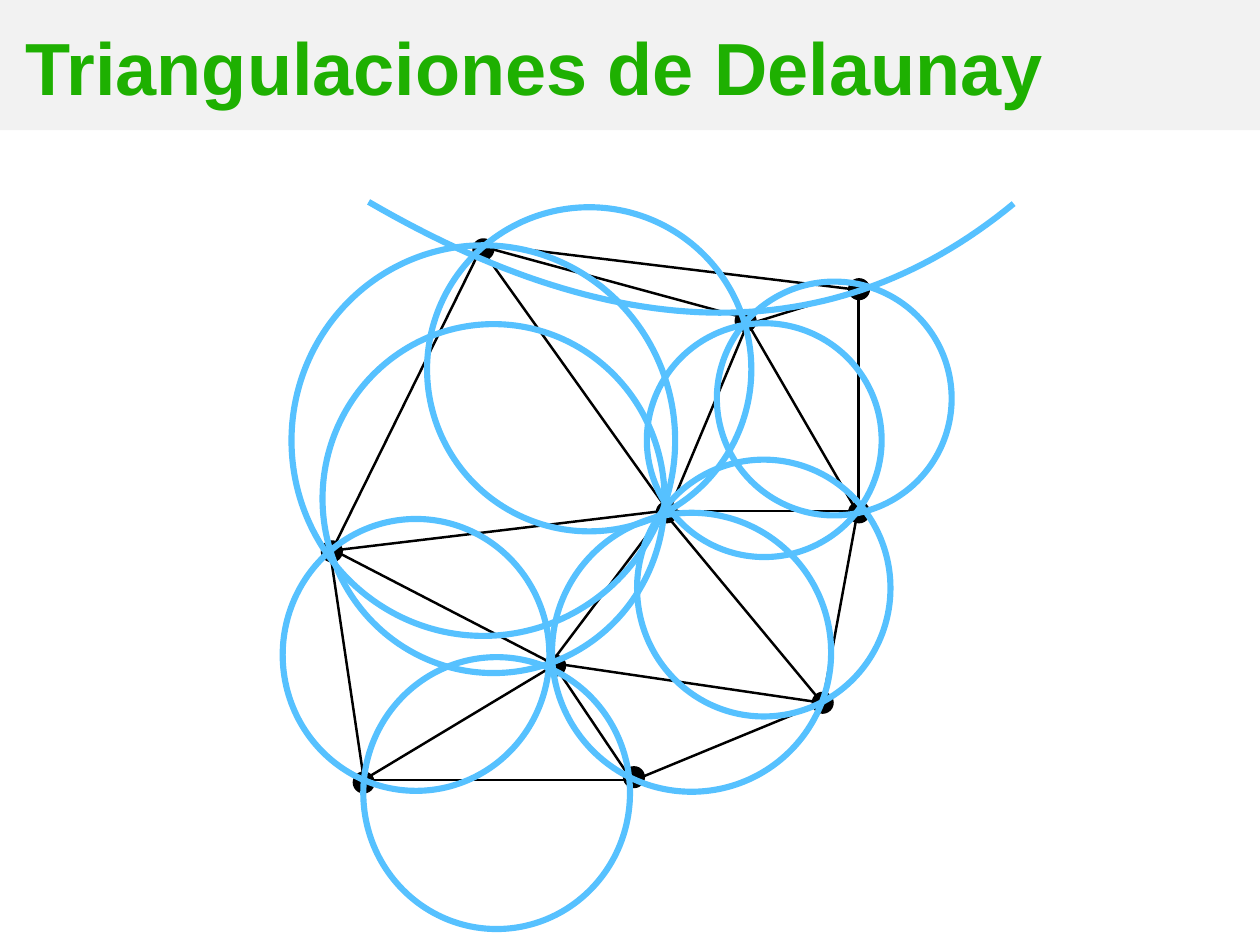
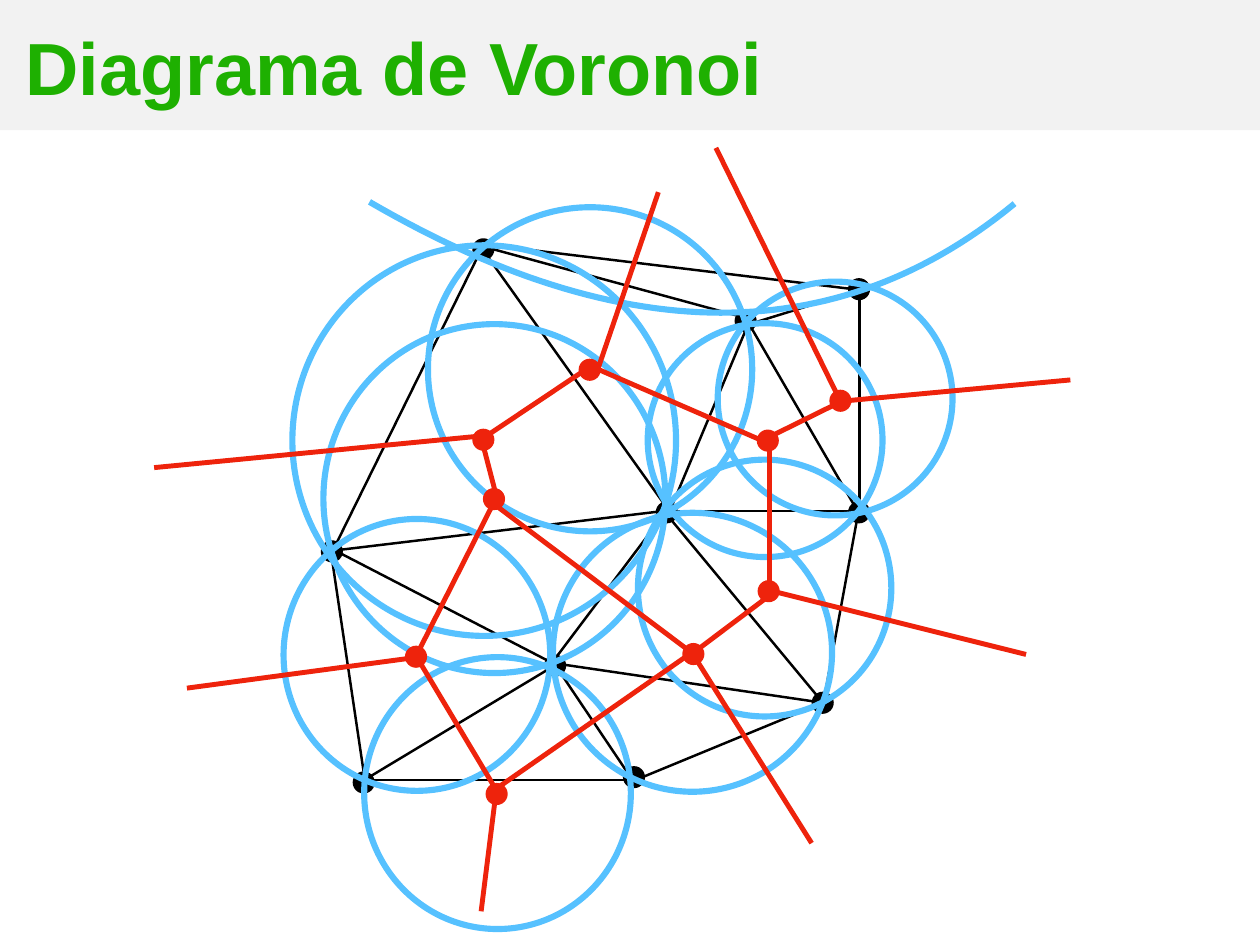
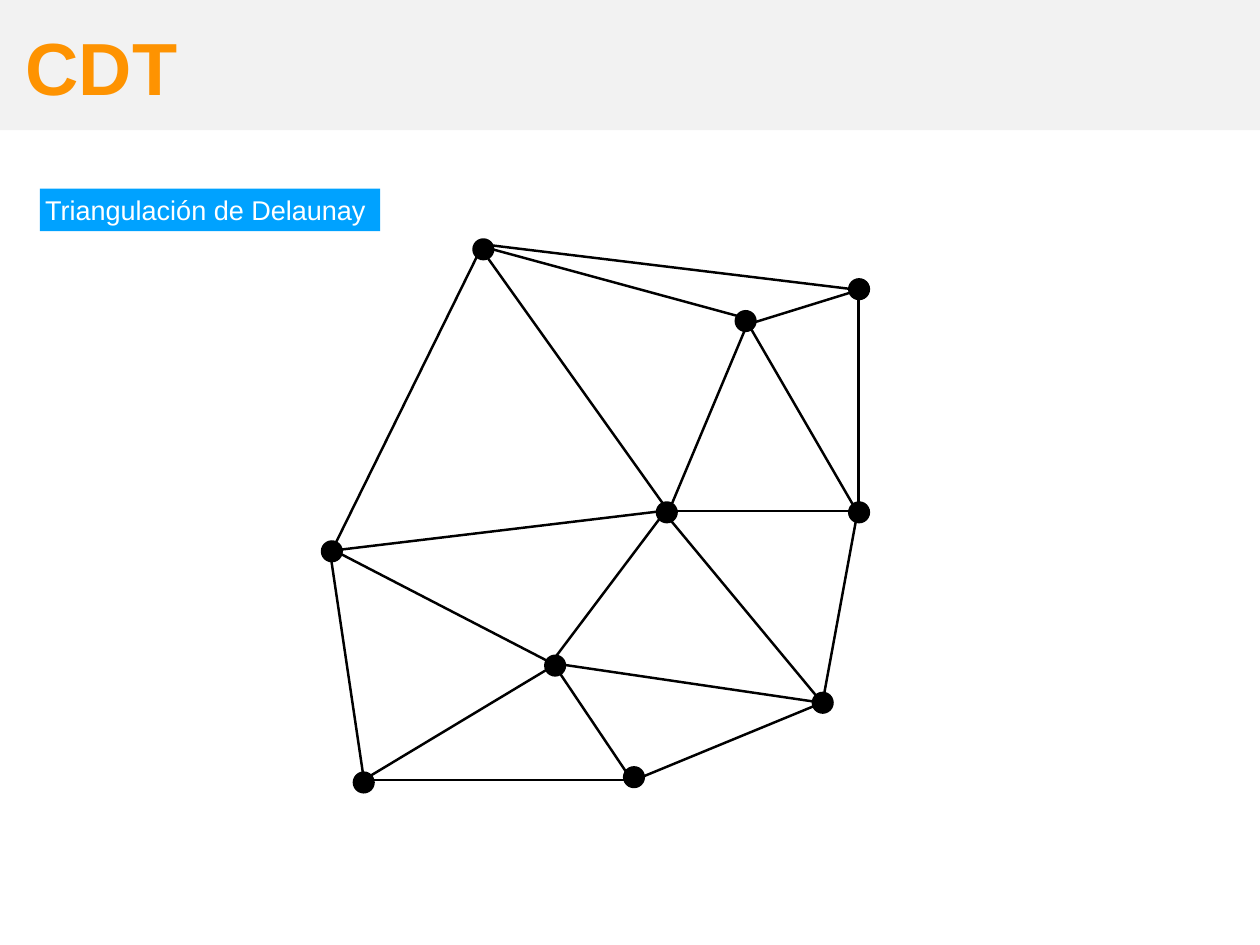
"""Delaunay triangulation and Voronoi diagram slides."""
import pptx
import pptx.dml.color
import pptx.enum.shapes
import pptx.enum.text
import pptx.oxml.ns
import pptx.util
from lxml import etree

Inches, Pt = pptx.util.Inches, pptx.util.Pt
SHAPE = pptx.enum.shapes.MSO_SHAPE
ANCHOR = pptx.enum.text.MSO_ANCHOR

HUES = {
    "band": "F2F2F2", "green": "1EB001", "orange": "FE9301",
    "black": "000000", "sky": "56C1FF", "red": "EE230C",
    "blue": "00A2FF", "white": "FFFFFF",
}
WIDE, HIGH, DOT = 14.22, 10.67, 0.25
BAND = (0, 0, WIDE, 1.47)
HEAD = (0.23, 0.18, 12.5, 1.13)
TAG = (0.45, 2.13, 3.84, 0.48)
TITLE = {"size": Pt(60), "bold": True, "name": "Arial"}
LABEL = {"size": Pt(22), "bold": False, "name": "Arial"}
INSET = ("margin_left", "margin_top", "margin_right", "margin_bottom")

DECK = [
    {"title": "Triangulaciones de Delaunay", "hue": "green",
     "rings": True, "shift": 0},
    {"title": "Diagrama de Voronoi", "hue": "green",
     "rings": True, "shift": 0.01, "cells": True},
    {"title": "CDT", "hue": "orange", "shift": 0,
     "tag": "Triangulación de Delaunay"},
]

SITES = [
    (5.33, 2.69), (8.29, 3.5), (9.57, 3.14), (9.57, 5.66), (7.4, 5.66),
    (6.14, 7.39), (9.16, 7.81), (7.03, 8.65), (3.62, 6.1), (3.98, 8.71),
]
EDGES = [
    (3.75, 6.21, 5.46, 2.74), (7.52, 5.74, 5.51, 2.92),
    (3.73, 6.22, 7.48, 5.77), (5.43, 2.78, 8.37, 3.58),
    (7.57, 5.72, 8.43, 3.67), (7.57, 5.77, 9.69, 5.77),
    (9.72, 5.86, 8.37, 3.53), (9.69, 5.76, 9.69, 3.39),
    (9.61, 3.3, 8.48, 3.65), (5.38, 2.75, 9.66, 3.27),
    (6.2, 7.51, 7.51, 5.77), (9.29, 7.95, 7.54, 5.84),
    (9.31, 7.94, 6.25, 7.49), (9.28, 7.95, 9.68, 5.77),
    (7.18, 8.8, 9.29, 7.93), (7.13, 8.81, 6.25, 7.5),
    (7.17, 8.81, 4.04, 8.81), (6.29, 7.49, 4.18, 8.76),
    (3.71, 6.13, 4.12, 8.89), (3.76, 6.21, 6.27, 7.51),
]
RINGS = [
    (4.82, 2.34, 3.66, 3.66), (8.09, 3.18, 2.65, 2.64),
    (7.3, 3.65, 2.65, 2.64), (6.23, 5.79, 3.15, 3.15),
    (4.1, 7.42, 3.01, 3.07), (3.19, 5.86, 3.01, 3.07),
    (3.29, 2.77, 4.33, 4.41), (3.64, 3.66, 3.86, 3.94),
    (7.19, 5.19, 2.86, 2.9),
]
ARC = [(11.44, 2.3), (9.44, 3.95), (7.01, 3.94), (4.16, 2.28)]
STEPS = 60
NODES = [
    (9.36, 4.4), (8.54, 4.85), (6.53, 4.05), (5.33, 4.84), (5.45, 5.51),
    (5.48, 8.84), (7.7, 7.26), (8.55, 6.55), (4.57, 7.29),
]
CELLS = [
    (4.7, 7.4, 5.58, 5.66), (5.62, 5.67, 5.42, 4.9),
    (5.42, 4.97, 6.66, 4.14), (5.52, 5.65, 7.86, 7.41),
    (7.76, 7.42, 8.65, 6.75), (8.68, 6.58, 8.68, 4.9),
    (8.59, 4.97, 6.68, 4.14), (9.44, 4.56, 8.65, 4.95),
    (5.6, 8.92, 4.68, 7.38), (5.58, 8.92, 7.79, 7.38),
    (8.08, 1.67, 9.46, 4.48), (9.5, 4.53, 12.08, 4.29),
    (8.66, 6.66, 11.58, 7.39), (7.76, 7.29, 9.16, 9.52),
    (7.43, 2.17, 6.74, 4.19), (5.61, 8.85, 5.43, 10.29),
    (4.72, 7.42, 2.11, 7.77), (5.46, 4.92, 1.74, 5.28),
]


def tint(hue):
    return pptx.dml.color.RGBColor.from_string(HUES[hue])


def paint(shape, fill=None, line=None, width=5):
    shape.shadow.inherit = False
    if fill:
        shape.fill.solid()
        shape.fill.fore_color.rgb = tint(fill)
    else:
        shape.fill.background()
    if line:
        shape.line.color.rgb = tint(line)
        shape.line.width = Pt(width)
    else:
        shape.line.fill.background()


def place(shapes, kind, box, **look):
    shape = shapes.add_shape(kind, *map(Inches, box))
    paint(shape, **look)
    return shape


def write(shape, text, form, hue, anchor):
    frame = shape.text_frame
    for side in INSET:
        setattr(frame, side, Inches(0.06))
    frame.word_wrap = True
    frame.vertical_anchor = anchor
    para = frame.paragraphs[0]
    para.alignment = pptx.enum.text.PP_ALIGN.LEFT
    run = para.add_run()
    run.text = text
    for key, value in form.items():
        setattr(run.font, key, value)
    run.font.color.rgb = tint(hue)


def graph(shapes, dots, lines, hue, width, shift=0):
    for x, y in dots:
        place(shapes, SHAPE.OVAL, (x, y, DOT, DOT), fill=hue)
    kind = pptx.enum.shapes.MSO_CONNECTOR.STRAIGHT
    for x, y, u, v in lines:
        ends = map(Inches, (x + shift, y, u + shift, v))
        edge = shapes.add_connector(kind, *ends)
        edge.line.color.rgb = tint(hue)
        edge.line.width = Pt(width)
        props = edge._element.spPr
        etree.SubElement(props, pptx.oxml.ns.qn("a:effectLst"))


def bend(t):
    rates = ((1 - t) ** 3, 3 * t * (1 - t) ** 2, 3 * t * t * (1 - t), t ** 3)
    return [sum(r * p[axis] for r, p in zip(rates, ARC)) for axis in (0, 1)]


def circles(shapes, shift):
    for x, y, w, h in RINGS:
        place(shapes, SHAPE.OVAL, (x + shift, y, w, h), line="sky")
    track = [bend(i / STEPS) for i in range(STEPS + 1)]
    spots = [(Inches(x + shift), Inches(y)) for x, y in track]
    path = shapes.build_freeform(*spots[0])
    path.add_line_segments(spots[1:], close=False)
    paint(path.convert_to_shape(), line="sky")


def build(deck, page):
    shapes = deck.slides.add_slide(deck.slide_layouts[6]).shapes
    place(shapes, SHAPE.RECTANGLE, BAND, fill="band")
    head = shapes.add_textbox(*map(Inches, HEAD))
    write(head, page["title"], TITLE, page["hue"], ANCHOR.BOTTOM)
    mesh = shapes.add_group_shape().shapes if "tag" in page else shapes
    graph(mesh, SITES, EDGES, "black", 2, page["shift"])
    if page.get("rings"):
        circles(shapes, page["shift"])
    if page.get("cells"):
        graph(shapes, NODES, CELLS, "red", 4)
    if "tag" in page:
        tag = place(shapes, SHAPE.RECTANGLE, TAG, fill="blue")
        write(tag, page["tag"], LABEL, "white", ANCHOR.MIDDLE)


def main():
    deck = pptx.Presentation()
    deck.slide_width, deck.slide_height = Inches(WIDE), Inches(HIGH)
    for page in DECK:
        build(deck, page)
    deck.save("out.pptx")


if __name__ == "__main__":
    main()
